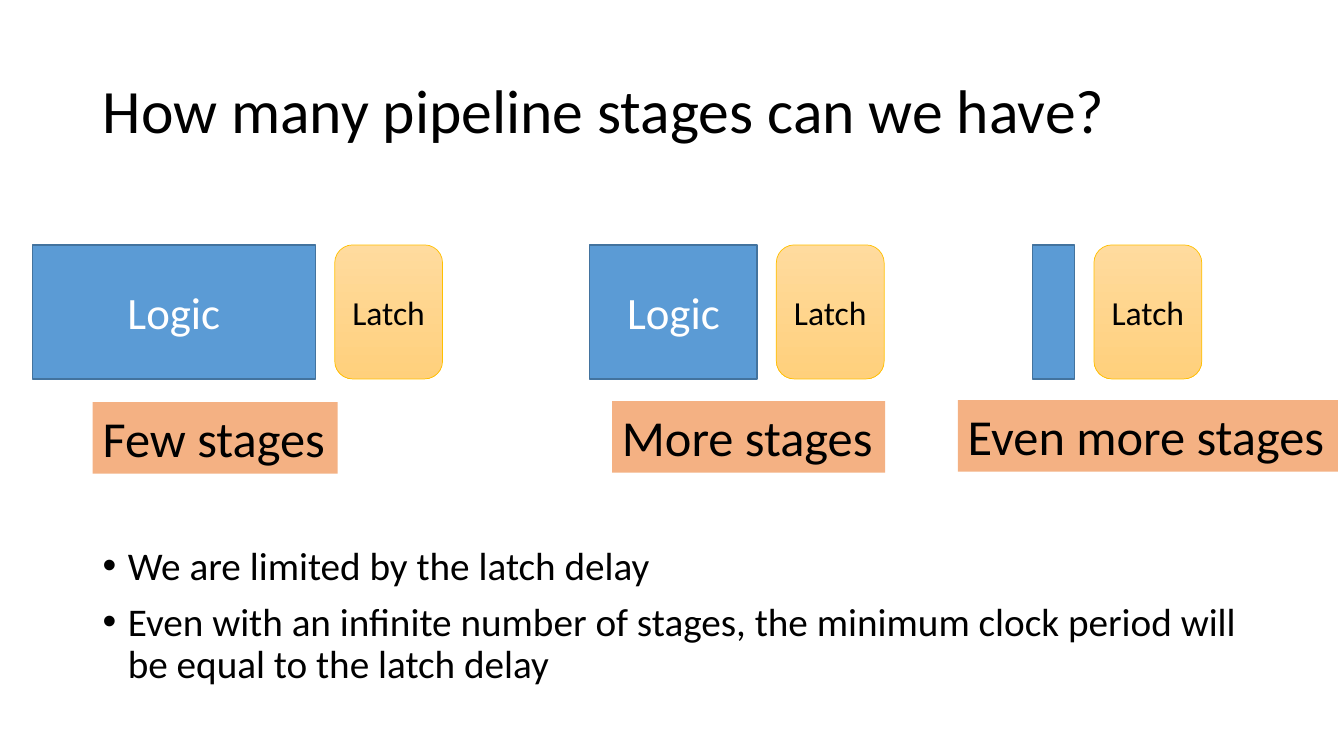
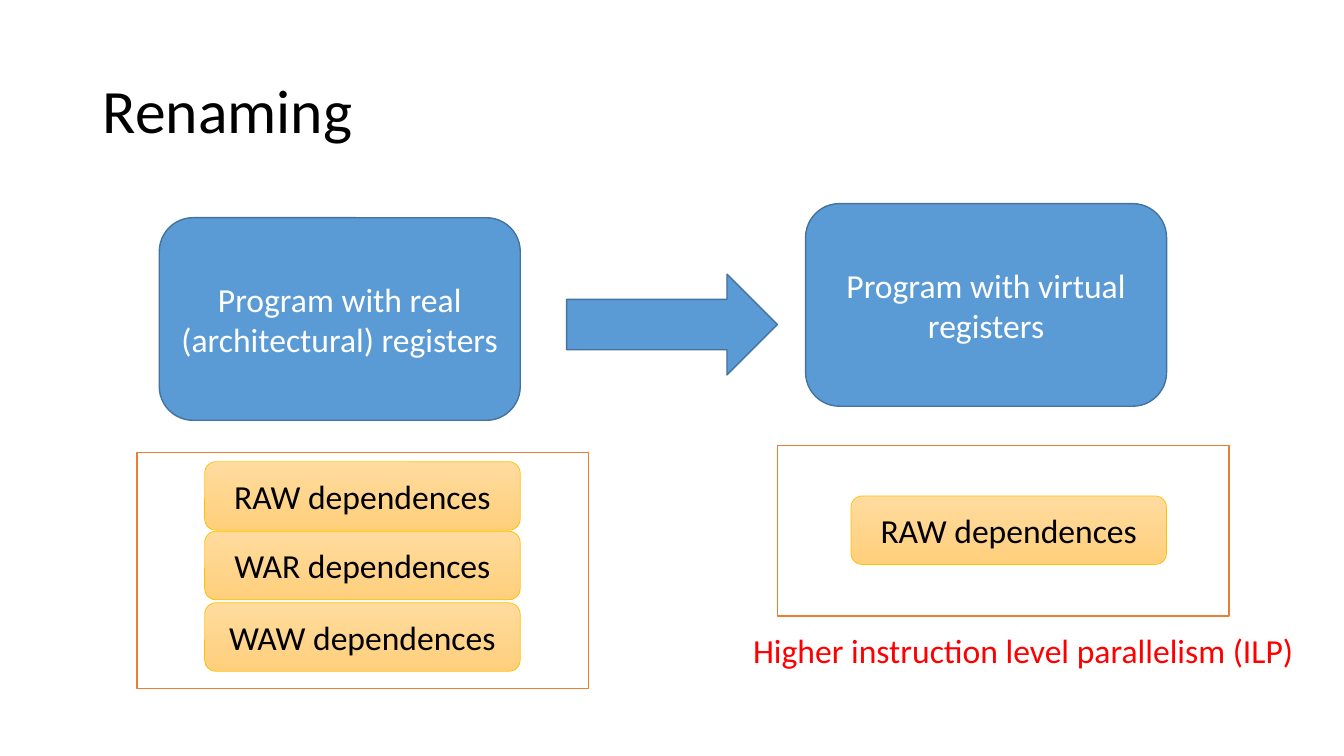
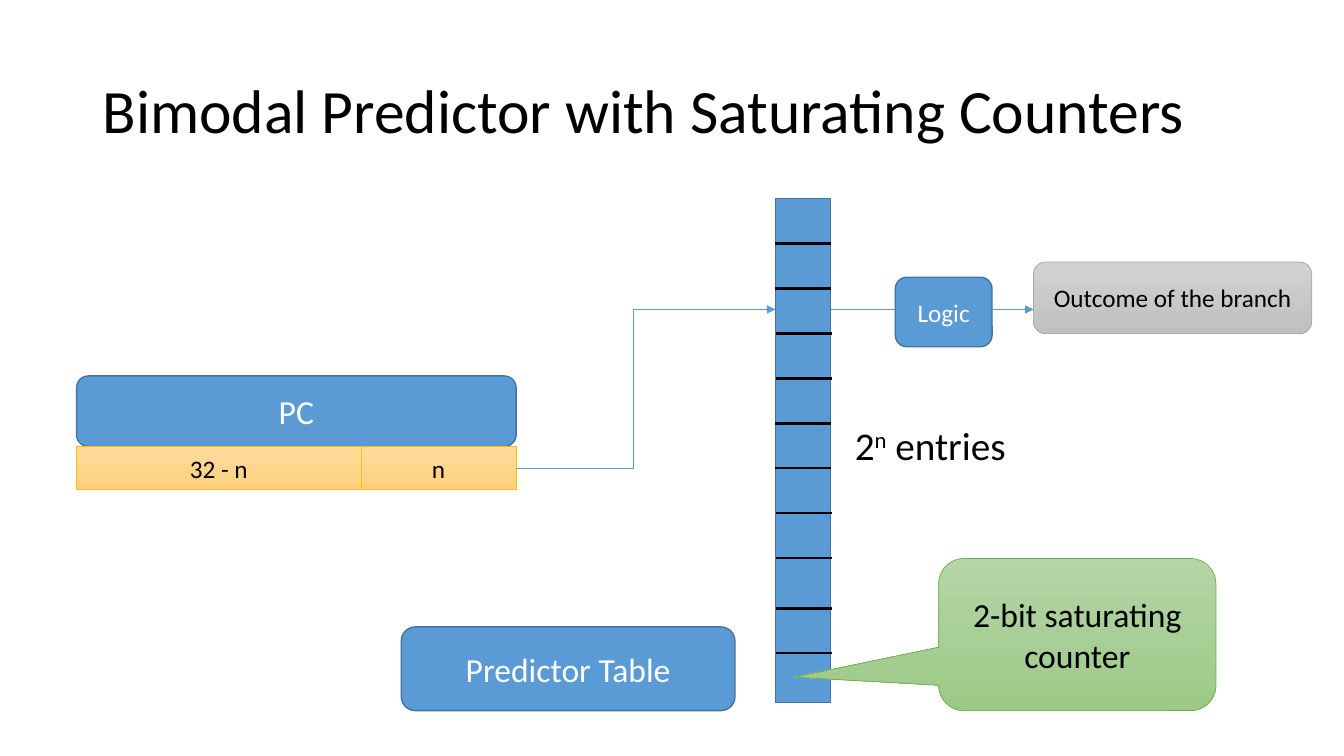
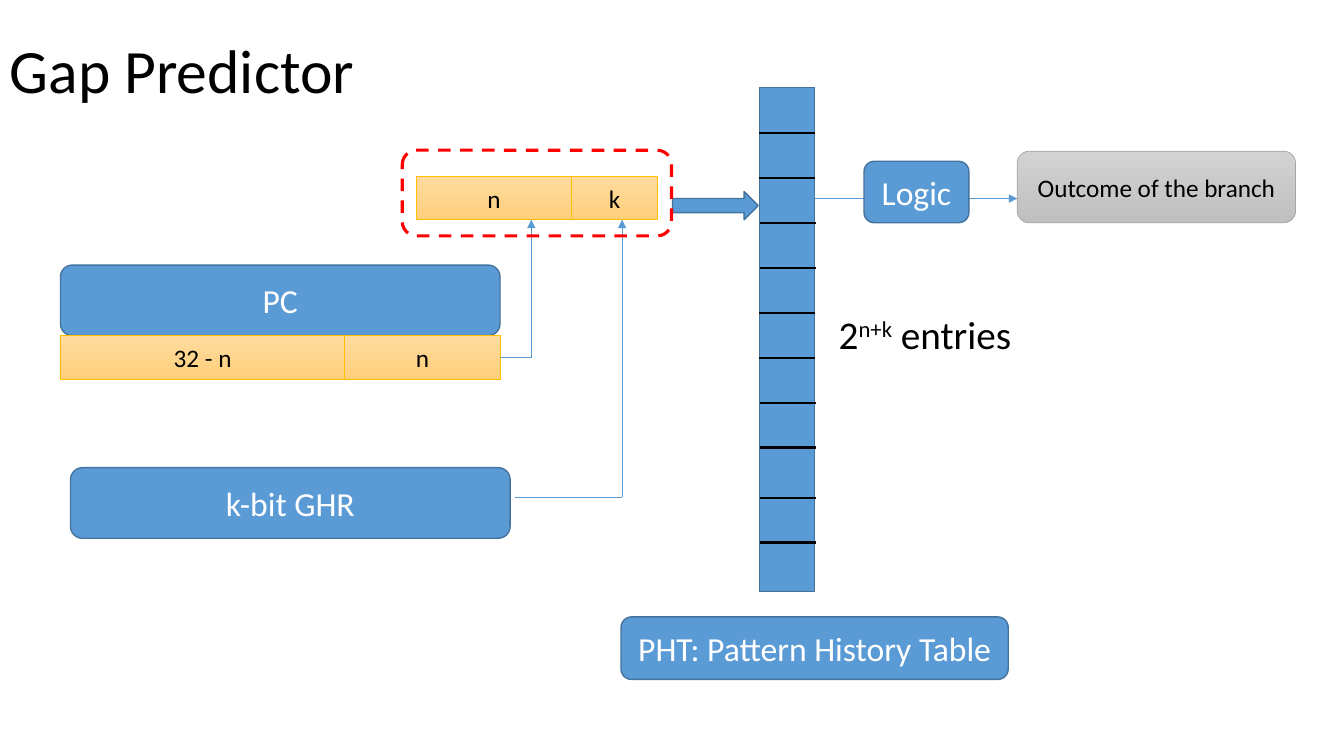
from dataclasses import dataclass
from itertools import pairwise

from lxml.etree import SubElement
from pptx import Presentation
from pptx.dml.color import RGBColor
from pptx.enum.dml import MSO_LINE
from pptx.enum.shapes import MSO_CONNECTOR, MSO_SHAPE
from pptx.enum.text import MSO_ANCHOR, PP_ALIGN
from pptx.oxml.ns import qn
from pptx.util import Inches, Pt


@dataclass(frozen=True)
class Theme:
    font: str = "Calibri"
    black: str = "000000"
    white: str = "FFFFFF"
    red: str = "FF0000"
    blue: str = "5B9BD5"
    blue_edge: str = "43739E"
    orange: str = "ED7D31"
    peach: str = "F4B183"
    # Gradients run from top to bottom
    gold: tuple = ("FFDB9E", "FFD07C")
    gold_edge: str = "FFC000"
    grey: tuple = ("D2D2D2", "C0C0C0")
    grey_edge: str = "A5A5A5"
    green: tuple = ("B5D5A7", "9CC987")
    green_edge: str = "70AD47"
    title: int = 44
    label: int = 36
    large: int = 32
    body: int = 28
    normal: int = 24
    small: int = 18


T = Theme()
RECT, ROUND = MSO_SHAPE.RECTANGLE, MSO_SHAPE.ROUNDED_RECTANGLE
ARROW, CALLOUT = MSO_SHAPE.RIGHT_ARROW, MSO_SHAPE.ROUNDED_RECTANGULAR_CALLOUT


def add(s, at, text="", shape=None, fill=None, edge=None, edge_width=1, dash=None,
        size=T.normal, color=T.black, align=PP_ALIGN.LEFT, anchor=MSO_ANCHOR.TOP,
        wrap=True, spacing=None, bullet=False):
    """Add a shape or text box; text between ^ marks is superscript."""
    box = [Inches(v) for v in at]
    if shape is None:
        sp = s.shapes.add_textbox(*box)
    else:
        sp = s.shapes.add_shape(shape, *box)
        sp.shadow.inherit = False
        if isinstance(fill, tuple):
            sp.fill.gradient()
            sp.fill.gradient_angle = 270
            for stop, shade in zip(sp.fill.gradient_stops, fill):
                stop.color.rgb = RGBColor.from_string(shade)
        elif fill:
            sp.fill.solid()
            sp.fill.fore_color.rgb = RGBColor.from_string(fill)
        else:
            sp.fill.background()
        if edge:
            sp.line.color.rgb = RGBColor.from_string(edge)
            sp.line.width = Pt(edge_width)
            sp.line.dash_style = dash
        else:
            sp.line.fill.background()
    if not text:
        return sp

    tf = sp.text_frame
    tf.word_wrap, tf.vertical_anchor = wrap, anchor
    for i, line_text in enumerate(text.split("\n")):
        p = tf.add_paragraph() if i else tf.paragraphs[0]
        p.alignment, p.line_spacing = align, spacing
        if bullet:
            p.space_before = Pt(10)
            pPr = p._p.get_or_add_pPr()
            pPr.set("marL", str(Inches(0.25)))
            pPr.set("indent", str(-Inches(0.25)))
            SubElement(pPr, qn("a:buFont")).set("typeface", "Arial")
            SubElement(pPr, qn("a:buChar")).set("char", "•")
        for j, part in enumerate(line_text.split("^")):
            r = p.add_run()
            r.text = part
            r.font.name, r.font.size = T.font, Pt(size)
            r.font.color.rgb = RGBColor.from_string(color)
            if j % 2:
                r._r.get_or_add_rPr().set("baseline", "30000")
    return sp


def add_path(s, *points, color=T.blue, width=0.5, arrow=True):
    """Join the points with straight lines, with an arrowhead at the last one."""
    for start, end in pairwise(points):
        c = s.shapes.add_connector(MSO_CONNECTOR.STRAIGHT, *[Inches(v) for v in start + end])
        c.line.color.rgb = RGBColor.from_string(color)
        c.line.width = Pt(width)
        SubElement(c._element.spPr, qn("a:effectLst"))
    if arrow:
        SubElement(c.line._get_or_add_ln(), qn("a:tailEnd")).set("type", "triangle")


CENTER = dict(align=PP_ALIGN.CENTER, anchor=MSO_ANCHOR.MIDDLE)
BLUE = dict(CENTER, fill=T.blue, edge=T.blue_edge, color=T.white)
GOLD = dict(CENTER, fill=T.gold, edge=T.gold_edge, edge_width=0.5)
GREY = dict(CENTER, fill=T.grey, edge=T.grey_edge, edge_width=0.5)
GREEN = dict(CENTER, fill=T.green, edge=T.green_edge, edge_width=0.5)

prs = Presentation()
prs.slide_width, prs.slide_height = Inches(13.33), Inches(7.5)

slides = []
for title, left, top in [
    ("How many pipeline stages can we have?", 0.92, 0.4),
    ("Renaming", 0.92, 0.4),
    ("Bimodal Predictor with Saturating Counters", 0.92, 0.4),
    ("Gap Predictor", 0, 0),
]:
    s = prs.slides.add_slide(prs.slide_layouts[6])
    add(s, (left, top, 11.5, 1.45), title, size=T.title, anchor=MSO_ANCHOR.MIDDLE, spacing=0.9)
    slides.append(s)
stages, renaming, bimodal, gap = slides

# Pipeline stages
s = stages
add(s, (0.92, 5.37, 11.5, 1.73),
    "We are limited by the latch delay\n"
    "Even with an infinite number of stages, the minimum clock period will be equal to the latch delay",
    size=T.body, spacing=0.9, bullet=True)
for x, width, logic, label, label_at in [
    (0.32, 2.81, "Logic", "Few stages", (0.92, 3.99, 2.43, 0.71)),
    (5.85, 1.66, "Logic", "More stages", (6.07, 3.98, 2.71, 0.71)),
    (10.24, 0.42, "", "Even more stages", (9.5, 3.97, 3.77, 0.71)),
]:
    add(s, (x, 2.43, width, 1.33), logic, RECT, size=T.large, **BLUE)
    add(s, (x + width + 0.19, 2.43, 1.07, 1.33), "Latch", ROUND, **GOLD)
    add(s, label_at, label, RECT, fill=T.peach, size=T.label, wrap=False)

# Renaming
s = renaming
add(s, (1.58, 2.16, 3.58, 2.01), "Program with real (architectural) registers", ROUND, **BLUE)
add(s, (5.62, 2.72, 2.09, 1), shape=ARROW, **BLUE)
add(s, (7.99, 2.02, 3.58, 2.01), "Program with virtual registers", ROUND, **BLUE)
for frame, x, dependences in [
    ((1.36, 4.49, 4.48, 2.34), 2.03, [("RAW", 4.58), ("WAR", 5.27), ("WAW", 5.98)]),
    ((7.71, 4.42, 4.48, 1.69), 8.44, [("RAW", 4.92)]),
]:
    add(s, frame, shape=RECT, fill=T.white, edge=T.orange)
    for name, y in dependences:
        add(s, (x, y, 3.13, 0.68), f"{name} dependences", ROUND, **GOLD)
add(s, (7.37, 6.2, 5.61, 0.5), "Higher instruction level parallelism (ILP)", color=T.red, wrap=False)

# Parts common to both predictors, placed from the corner of the PC box
entry_gap = 3.57 / 8
for s, x, y, exponent, entries_width in [
    (bimodal, 0.76, 3.73, "n", 1.73),
    (gap, 0.6, 2.63, "n+k", 1.98),
]:
    add(s, (x, y, 4.36, 0.7), "PC", ROUND, **BLUE)
    add(s, (x, y + 0.7, 2.82, 0.43), "32 - n", RECT, size=T.small, **GOLD)
    add(s, (x + 2.82, y + 0.7, 1.54, 0.43), "n", RECT, size=T.small, **GOLD)
    table_x, table_y = x + 6.93, y - 1.76
    add(s, (table_x, table_y, 0.55, 5), shape=RECT, **BLUE)
    for i in range(1, 11):
        line_x = table_x + (0.01 if i % 4 in (0, 3) or i > 8 else 0)
        line_y = table_y + i * entry_gap + (0.05 if i > 8 else 0)
        add_path(s, (line_x, line_y), (line_x + 0.55, line_y), color=T.black, width=1.5, arrow=False)
    add(s, (x + 9.49, y - 1.13, 2.76, 0.71), "Outcome of the branch", ROUND, size=T.small, **GREY)
    add_path(s, (table_x + 0.55, y - 0.66), (x + 9.49, y - 0.66))
    add(s, (x + 7.62, y + 0.4, entries_width, 0.57), f"2^{exponent}^ entries", size=T.body, wrap=False)

# Bimodal predictor
s = bimodal
add_path(s, (5.12, 4.65), (6.28, 4.65), (6.28, 3.07), (7.69, 3.07))
add(s, (3.98, 6.22, 3.31, 0.83), "Predictor Table", ROUND, **BLUE)
callout = add(s, (9.31, 5.54, 2.75, 1.51), "2-bit saturating counter", CALLOUT, **GREEN)
callout.adjustments[0], callout.adjustments[1] = -1.02, 0.28
add(s, (8.88, 2.75, 0.96, 0.69), "Logic", ROUND, size=T.small, **BLUE)

# Gap predictor
s = gap
add(s, (0.7, 4.64, 4.36, 0.7), "k-bit GHR", ROUND, **BLUE)
add(s, (8.57, 1.6, 1.04, 0.61), "Logic", ROUND, **BLUE)
add(s, (4.13, 1.75, 1.54, 0.43), "n", RECT, size=T.small, **GOLD)
add(s, (5.67, 1.75, 0.85, 0.43), "k", RECT, size=T.small, **GOLD)
add_path(s, (4.96, 3.55), (5.27, 3.55), (5.27, 2.18))
add_path(s, (5.11, 4.93), (6.17, 4.93), (6.17, 2.18))
add(s, (6.67, 1.9, 0.85, 0.28), shape=ARROW, **BLUE)
add(s, (3.99, 1.49, 2.67, 0.85), shape=ROUND, edge=T.red, edge_width=2.25, dash=MSO_LINE.DASH)
add(s, (6.16, 6.12, 3.84, 0.62), "PHT: Pattern History Table", ROUND, **BLUE)

prs.save("out.pptx")
